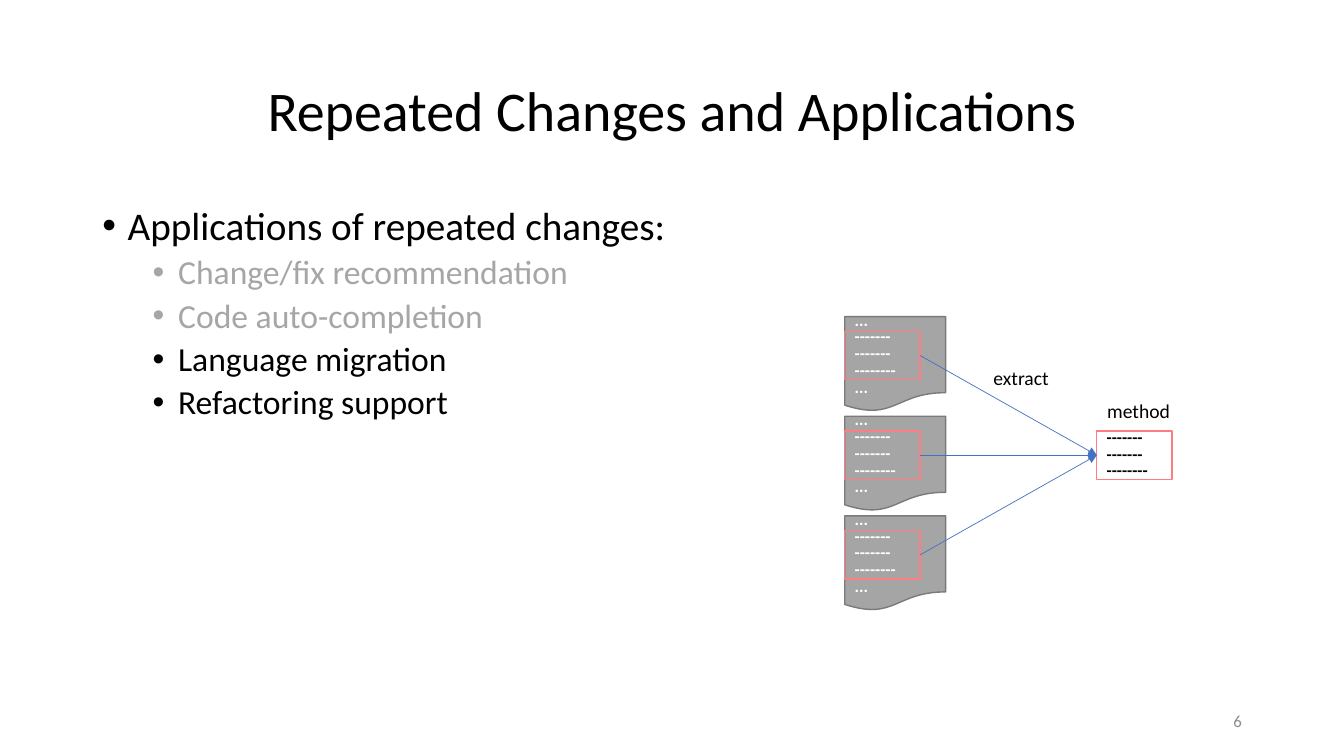
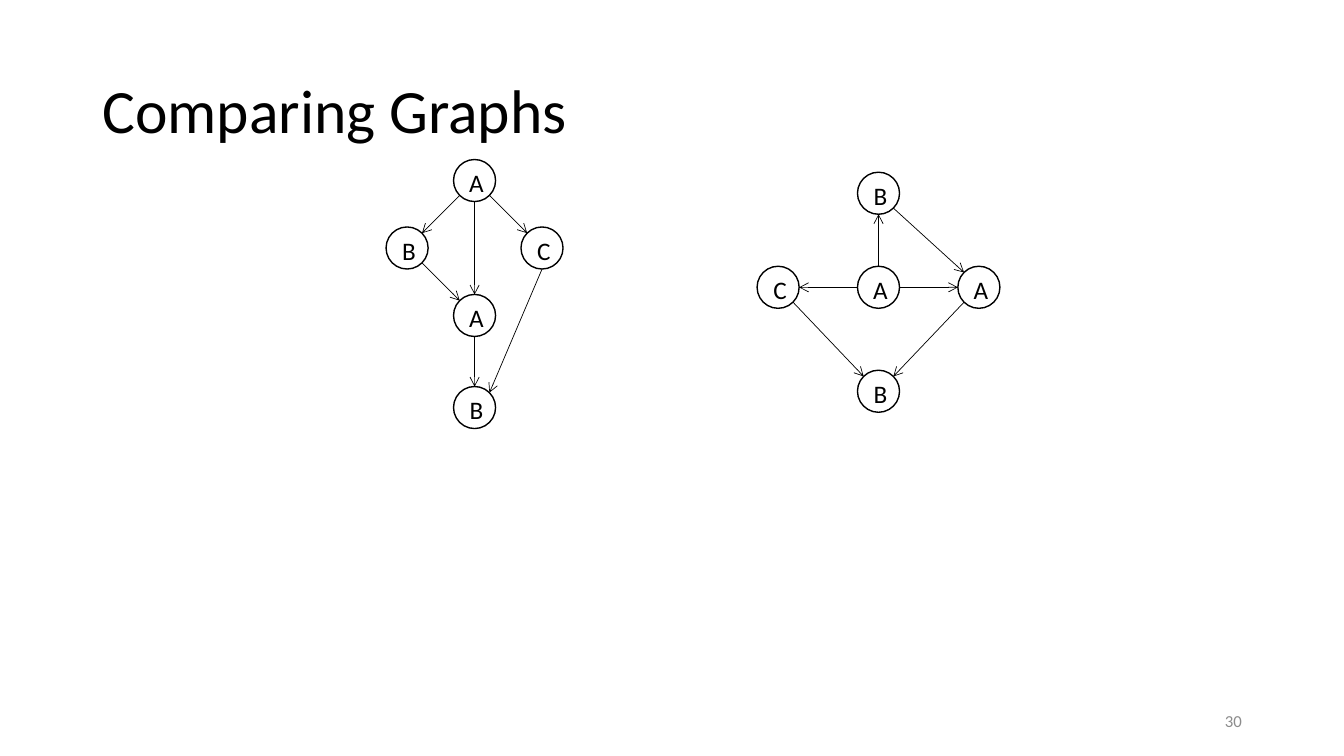
import math

import pptx
import pptx.dml.color
import pptx.enum.shapes
import pptx.enum.text
import pptx.util
from lxml import etree
from pptx.oxml.ns import qn

Cm, Pt = pptx.util.Cm, pptx.util.Pt
SHAPE = pptx.enum.shapes.MSO_SHAPE
ALIGN = pptx.enum.text.PP_ALIGN
ANCHOR = pptx.enum.text.MSO_ANCHOR

FONT = "Calibri"
COLORS = {
    "text": "000000",
    "paper": "FFFFFF",
    "dimmed": "A6A6A6",
    "number": "8C8C8C",
    "document": "A5A5A5",
    "document_edge": "7A7A7A",
    "frame": "FF7C80",
    "arrow": "4472C4",
}
TITLE_BOX = (2.33, 1.02, 29.21, 3.68)
BODY_BOX = (2.33, 5.08, 29.21, 12.09)
NUMBER_BOX = (23.93, 17.65, 7.62, 1.02)
CODE = ["-------", "-------", "--------"]
NODE_SIZE = 1.06


def rgb(name):
    """Return the palette colour called name."""
    return pptx.dml.color.RGBColor.from_string(COLORS[name])


def write(shape, lines, size, color="text", align=ALIGN.LEFT, spacing=None, bold=False):
    """Fill a shape with paragraphs that share one style."""
    frame = shape.text_frame
    frame.text = "\n".join(lines)
    for paragraph in frame.paragraphs:
        paragraph.alignment = align
        paragraph.line_spacing = spacing
        for run in paragraph.runs:
            run.font.name = FONT
            run.font.size = Pt(size)
            run.font.bold = bold
            run.font.color.rgb = rgb(color)


def add_text(slide, box, lines, size, anchor=ANCHOR.MIDDLE, wrap=True, **style):
    """Add a text box and return it."""
    textbox = slide.shapes.add_textbox(*map(Cm, box))
    textbox.text_frame.word_wrap = wrap
    textbox.text_frame.vertical_anchor = anchor
    write(textbox, lines, size, **style)
    return textbox


def add_outline(slide, kind, box, line, fill=None):
    """Add a preset shape with a thin line and an optional fill."""
    shape = slide.shapes.add_shape(kind, *map(Cm, box))
    shape.shadow.inherit = False
    shape.line.color.rgb = rgb(line)
    shape.line.width = Pt(1)
    if fill:
        shape.fill.solid()
        shape.fill.fore_color.rgb = rgb(fill)
    else:
        shape.fill.background()
    return shape


def add_arrow(slide, start, end, color, head):
    """Add a straight arrow between two points."""
    arrow = slide.shapes.add_connector(
        pptx.enum.shapes.MSO_CONNECTOR.STRAIGHT, *map(Cm, (*start, *end)))
    arrow.line.color.rgb = rgb(color)
    arrow.line.width = Pt(0.5)
    etree.SubElement(arrow.line._get_or_add_ln(), qn("a:tailEnd"), type=head)
    etree.SubElement(arrow._element.spPr, qn("a:effectLst"))
    return arrow


def add_base(deck, title, number, size, align):
    """Add a blank slide with its title and slide number."""
    slide = deck.slides.add_slide(deck.slide_layouts[6])
    add_text(slide, TITLE_BOX, [title], size, align=align, spacing=0.9)
    add_text(slide, NUMBER_BOX, [number], 12, color="number", align=ALIGN.RIGHT)
    return slide


def add_bullets(slide, box, items):
    """Add a bulleted list from (text, level, colour) items."""
    body = add_text(slide, box, [item[0] for item in items], 28,
                    anchor=ANCHOR.TOP, spacing=0.9)
    for index, (paragraph, item) in enumerate(zip(body.text_frame.paragraphs, items)):
        _, level, color = item
        paragraph.level = level
        paragraph.space_before = Pt((10, 5)[level] if index else 0)
        properties = paragraph._p.get_or_add_pPr()
        properties.set("marL", str(Cm((0.64, 1.91)[level])))
        properties.set("indent", str(-Cm(0.64)))
        etree.SubElement(properties, qn("a:buFont"), typeface="Arial")
        etree.SubElement(properties, qn("a:buChar"), char="•")
        for run in paragraph.runs:
            run.font.size = Pt((28, 24)[level])
            run.font.color.rgb = rgb(color)


def add_extraction(slide, left, top):
    """Draw three documents whose repeated code becomes one method."""
    pitch, frame_drop, frame_size = 2.51, 0.37, (1.9, 1.22)
    method_left = left + 6.35
    code_style = {"size": 12, "spacing": Pt(12), "bold": True}
    tops = [top + row * pitch for row in range(3)]
    for document_top in tops:
        document = add_outline(slide, SHAPE.FLOWCHART_DOCUMENT,
                               (left, document_top, 2.54, 2.39),
                               "document_edge", "document")
        write(document, ["...", *CODE, "..."], color="paper", **code_style)
    frames = [add_outline(slide, SHAPE.RECTANGLE,
                          (left, document_top + frame_drop, *frame_size), "frame")
              for document_top in tops]
    method = add_outline(slide, SHAPE.RECTANGLE,
                         (method_left, tops[1] + frame_drop, *frame_size), "frame")
    write(method, CODE, **code_style)
    for frame in frames:
        arrow = add_arrow(slide, (left, top), (method_left, top), "arrow", "triangle")
        arrow.begin_connect(frame, 3)
        arrow.end_connect(method, 1)
    for label, box in (("method", (method_left, top + 1.95, 2.11, 0.86)),
                       ("extract", (left + 3.48, top + 1.11, 1.93, 0.86))):
        add_text(slide, box, [label], 14, anchor=ANCHOR.TOP, wrap=False,
                 align=ALIGN.CENTER)


def rim_point(center, angle):
    """Return the point on a node's rim, in degrees clockwise from the right."""
    radius, turn = NODE_SIZE / 2, math.radians(angle)
    return center[0] + radius * math.cos(turn), center[1] + radius * math.sin(turn)


def add_graph(slide, left, top, nodes, edges):
    """Draw labelled nodes around an origin and arrows between their rims."""
    centers = {key: (left + x, top + y) for key, (x, y) in nodes.items()}
    for key, (x, y) in centers.items():
        node = add_outline(slide, SHAPE.OVAL,
                           (x - NODE_SIZE / 2, y - NODE_SIZE / 2, NODE_SIZE, NODE_SIZE),
                           "text", "paper")
        frame = node.text_frame
        frame.word_wrap = False
        frame.vertical_anchor = ANCHOR.MIDDLE
        frame.margin_left = frame.margin_top = Cm(0.1)
        frame.margin_right = frame.margin_bottom = 0
        write(node, [key[0]], 18, align=ALIGN.CENTER)
    for source, leave, target, arrive in edges:
        add_arrow(slide, rim_point(centers[source], leave),
                  rim_point(centers[target], arrive), "text", "arrow")


def build_applications(deck):
    """Build the slide on applications of repeated changes."""
    slide = add_base(deck, "Repeated Changes and Applications", "6", 40, ALIGN.CENTER)
    add_bullets(slide, BODY_BOX, [
        ("Applications of repeated changes:", 0, "text"),
        ("Change/fix recommendation", 1, "dimmed"),
        ("Code auto-completion", 1, "dimmed"),
        ("Language migration", 1, "text"),
        ("Refactoring support", 1, "text"),
    ])
    add_extraction(slide, 21.29, 7.98)


def build_graphs(deck):
    """Build the slide that compares two graphs."""
    slide = add_base(deck, "Comparing Graphs", "30", 44, ALIGN.LEFT)
    add_graph(slide, 11.96, 4.55, {
        "A1": (0, 0), "B1": (-1.7, 1.7), "C": (1.7, 1.7),
        "A2": (0, 3.4), "B2": (0, 5.72),
    }, [
        ("A1", 135, "B1", -45), ("B1", 45, "A2", -135), ("A1", 90, "A2", -90),
        ("A1", 45, "C", -135), ("C", 90, "B2", -45), ("A2", 90, "B2", -90),
    ])
    add_graph(slide, 22.14, 7.24, {
        "A1": (0, 0), "B1": (0, -2.37), "A2": (2.53, 0),
        "C": (-2.53, 0), "B2": (0, 2.62),
    }, [
        ("A1", -90, "B1", 90), ("B1", 45, "A2", -135), ("A1", 0, "A2", 180),
        ("A1", 180, "C", 0), ("C", 45, "B2", -135), ("A2", 135, "B2", -45),
    ])


def main():
    """Build and save the presentation."""
    deck = pptx.Presentation()
    deck.slide_width, deck.slide_height = Cm(33.87), Cm(19.05)
    build_applications(deck)
    build_graphs(deck)
    deck.save("out.pptx")


if __name__ == "__main__":
    main()
